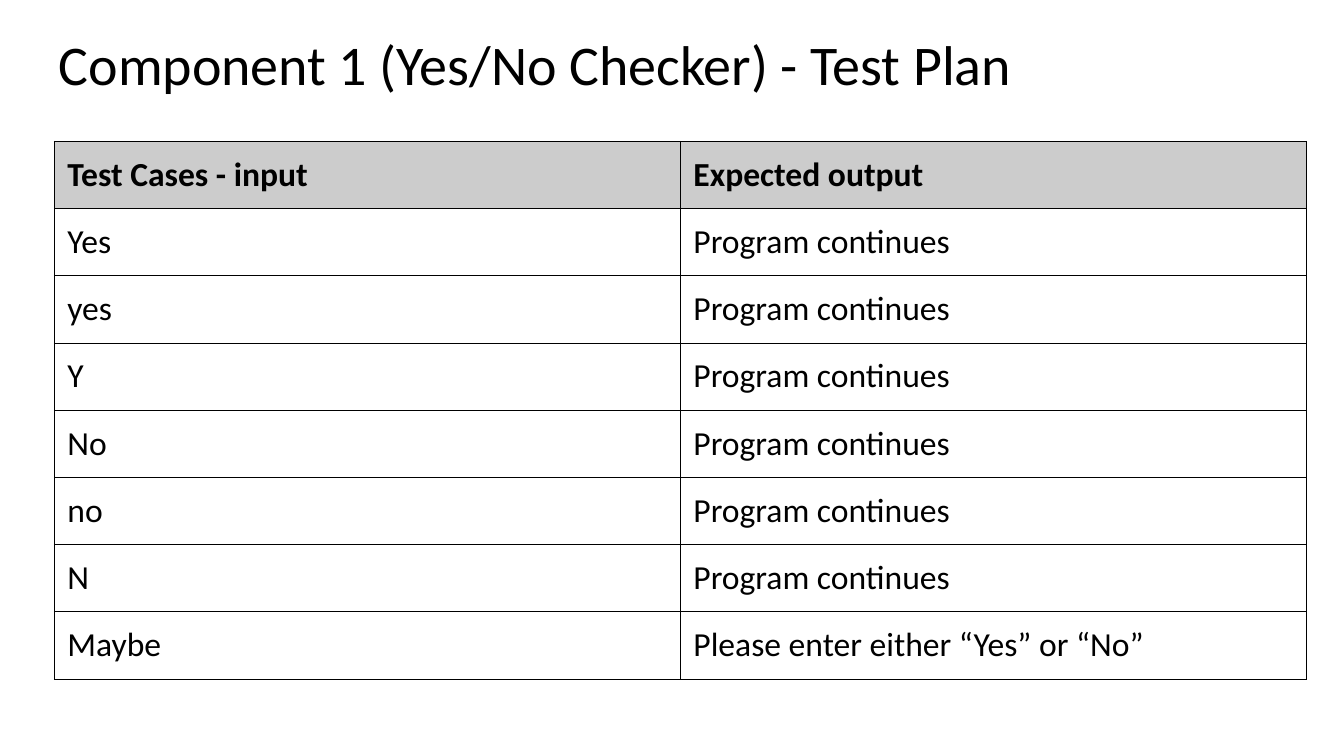
from lxml import etree
from pptx import Presentation
from pptx import util as u
from pptx.dml.color import RGBColor
from pptx.enum import text
from pptx.oxml import ns

TITLE = "Component 1 (Yes/No Checker) - Test Plan"
HEADINGS = ("Test Cases - input", "Expected output")
ACCEPTED_INPUTS = ("Yes", "yes", "Y", "No", "no", "N")
TEST_CASES = [(answer, "Program continues") for answer in ACCEPTED_INPUTS]
TEST_CASES.append(("Maybe", "Please enter either “Yes” or “No”"))


def colour(value):
    return RGBColor.from_string(value)


def write(frame, content, font, size, ink, bold=False, line_spacing=None):
    para = frame.paragraphs[0]
    para.alignment = text.PP_ALIGN.LEFT
    para.line_spacing = line_spacing
    span = para.add_run()
    span.text = content
    span.font.name = font
    span.font.size = u.Pt(size)
    span.font.bold = bold
    span.font.color.rgb = colour(ink)


class TestPlanSlide:
    font = "Calibri"
    ink = "000000"
    header_fill = "CCCCCC"
    inset = u.Cm(0.33)
    border_width = u.Pt(0.75)

    def __init__(self, deck):
        self.page = deck.slides.add_slide(deck.slide_layouts[5])

    def set_insets(self, target):
        for side in ("left", "top", "right", "bottom"):
            setattr(target, f"margin_{side}", self.inset)

    def title(self, content, left, top, width, height):
        box = self.page.shapes.title
        box.left, box.top = u.Cm(left), u.Cm(top)
        box.width, box.height = u.Cm(width), u.Cm(height)
        frame = box.text_frame
        frame.word_wrap = True
        frame.auto_size = text.MSO_AUTO_SIZE.NONE
        frame.vertical_anchor = text.MSO_ANCHOR.TOP
        self.set_insets(frame)
        write(frame, content, self.font, 40, self.ink, line_spacing=0.9)

    def border(self, cell):
        properties = cell._tc.get_or_add_tcPr()
        for side in ("L", "R", "T", "B"):
            line = etree.SubElement(properties, ns.qn(f"a:ln{side}"), w=str(self.border_width))
            fill = etree.SubElement(line, ns.qn("a:solidFill"))
            etree.SubElement(fill, ns.qn("a:srgbClr"), val=self.ink)

    def cell(self, cell, content, header):
        self.set_insets(cell)
        cell.vertical_anchor = text.MSO_ANCHOR.TOP
        self.border(cell)
        if header:
            cell.fill.solid()
            cell.fill.fore_color.rgb = colour(self.header_fill)
        else:
            cell.fill.background()
        write(cell.text_frame, content, self.font, 24, self.ink, bold=header)

    def table(self, rows, left, top, width, row_height):
        table = self.page.shapes.add_table(
            len(rows), len(rows[0]), u.Cm(left), u.Cm(top),
            u.Cm(width), u.Cm(row_height * len(rows))).table
        table.first_row = table.horz_banding = False
        for row_index, contents in enumerate(rows):
            table.rows[row_index].height = u.Cm(row_height)
            for column_index, content in enumerate(contents):
                self.cell(table.cell(row_index, column_index), content, row_index == 0)


def main():
    deck = Presentation()
    deck.slide_width, deck.slide_height = u.Cm(33.87), u.Cm(19.05)
    slide = TestPlanSlide(deck)
    slide.title(TITLE, 1.15, 0.61, 31.55, 2.13)
    slide.table([HEADINGS, *TEST_CASES], 1.37, 3.56, 31.55, 1.69)
    deck.save("out.pptx")


if __name__ == "__main__":
    main()
